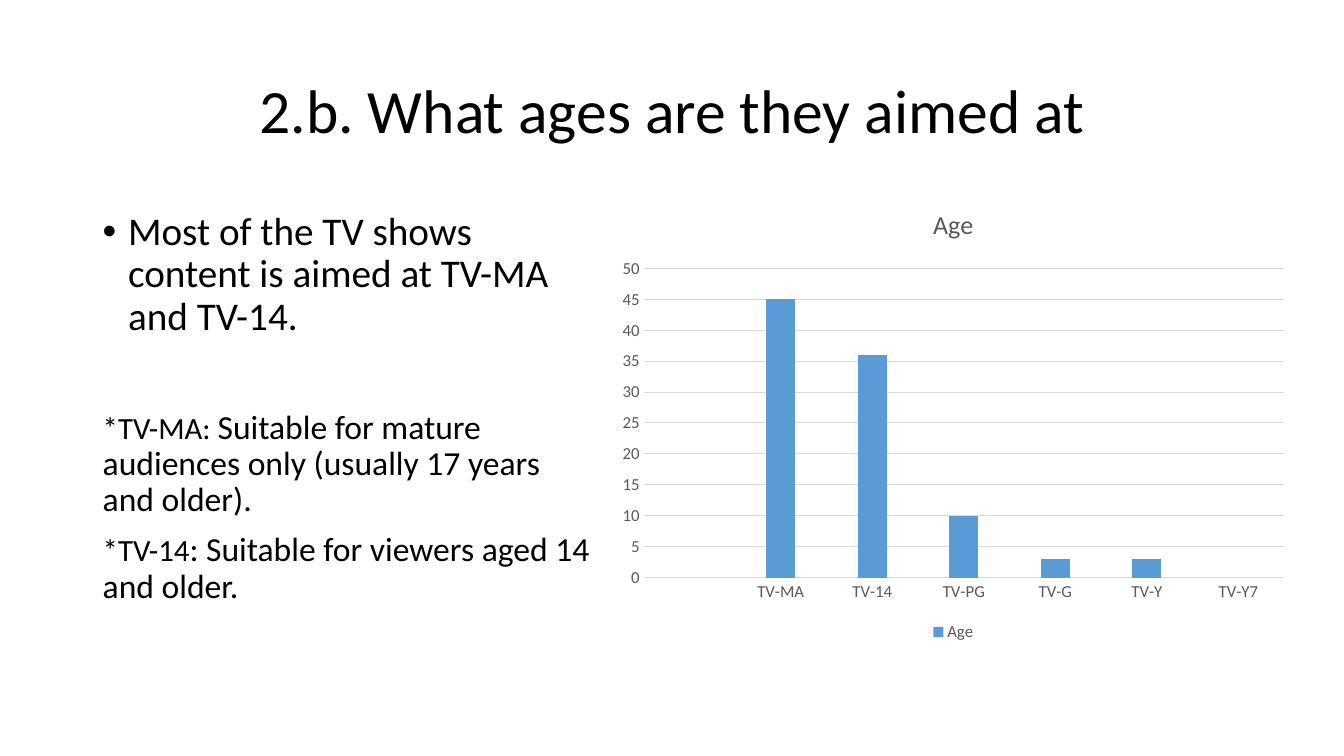
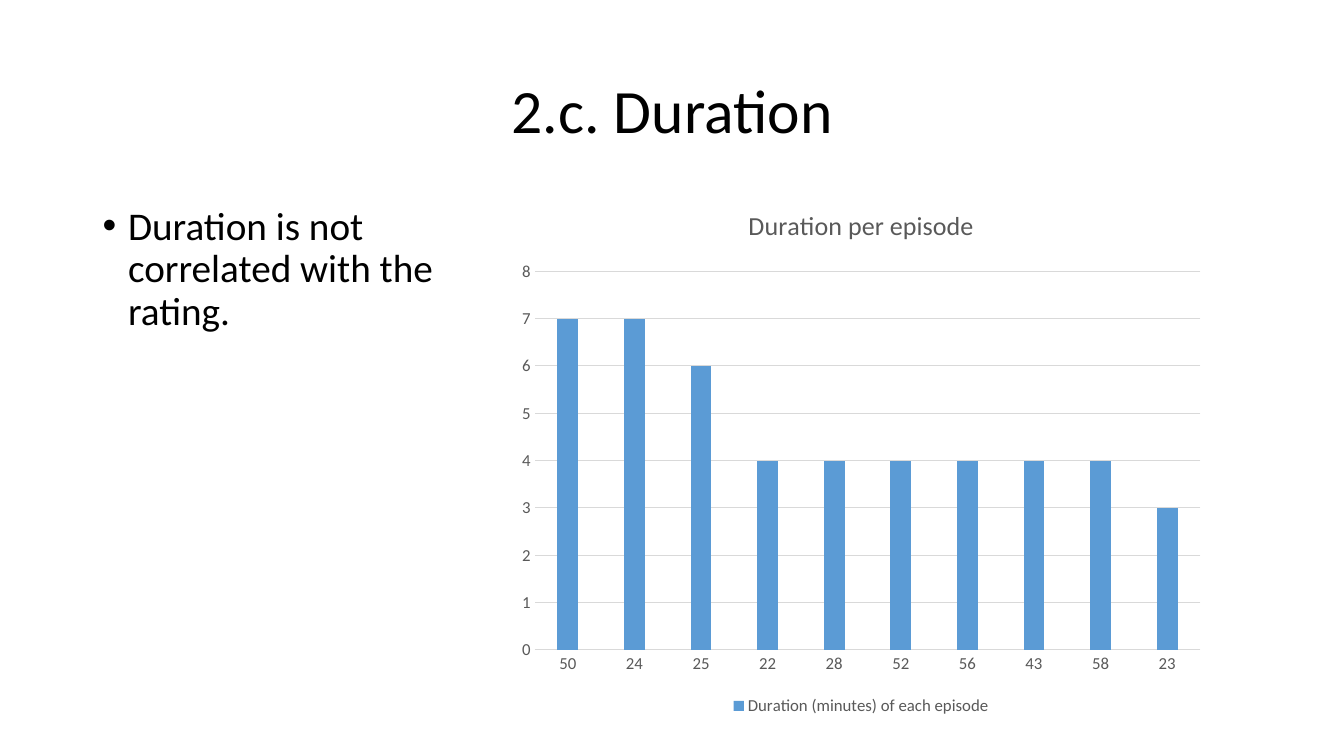
from dataclasses import dataclass

from lxml.etree import SubElement
from pptx import Presentation
from pptx.chart.data import CategoryChartData
from pptx.dml.color import RGBColor
from pptx.enum.chart import XL_CHART_TYPE, XL_LEGEND_POSITION, XL_TICK_MARK
from pptx.enum.text import MSO_ANCHOR, PP_ALIGN
from pptx.oxml.ns import qn
from pptx.util import Cm, Pt


@dataclass(frozen=True)
class Theme:
    font: str = "Calibri"
    ink: RGBColor = RGBColor(0x00, 0x00, 0x00)
    label: RGBColor = RGBColor(0x59, 0x59, 0x59)
    rule: RGBColor = RGBColor(0xD9, 0xD9, 0xD9)
    bar: RGBColor = RGBColor(0x5B, 0x9B, 0xD5)
    title: float = 44
    body: float = 28
    note: float = 24
    note_term: float = 22
    chart_title: float = 18.6
    chart_label: float = 12
    rule_width: float = 0.75
    paragraph_gap: float = 10
    section_gap: float = 51
    line_spacing: float = 0.9


class Deck:
    LEFT = 2.34
    CHART_TOP = 4.7
    BULLET_INDENT = Cm(0.64)

    def __init__(self, theme):
        self.theme = theme
        self.presentation = Presentation()
        self.presentation.slide_width = Cm(33.87)
        self.presentation.slide_height = Cm(19.05)
        self.slide = None

    def new_slide(self, heading):
        blank = self.presentation.slide_layouts[6]
        self.slide = self.presentation.slides.add_slide(blank)
        frame = self.text_frame(1.02, 29.21, 3.68)
        frame.vertical_anchor = MSO_ANCHOR.MIDDLE
        paragraph = frame.paragraphs[0]
        paragraph.alignment = PP_ALIGN.CENTER
        self.fill_paragraph(paragraph, [(heading, self.theme.title)], gap=0)

    def text_frame(self, top, width, height):
        box = self.slide.shapes.add_textbox(
            Cm(self.LEFT), Cm(top), Cm(width), Cm(height))
        box.text_frame.word_wrap = True
        return box.text_frame

    def style_font(self, font, size, color):
        font.name = self.theme.font
        font.size = Pt(size)
        font.bold = False
        font.color.rgb = color

    def fill_paragraph(self, paragraph, pieces, gap):
        paragraph.line_spacing = self.theme.line_spacing
        paragraph.space_before = Pt(gap)
        for text, size in pieces:
            run = paragraph.add_run()
            run.text = text
            self.style_font(run.font, size, self.theme.ink)

    def body(self, top, width, statement, notes=()):
        theme = self.theme
        frame = self.text_frame(top, width, 12.09)

        # Bulleted statement
        bullet = frame.paragraphs[0]
        self.fill_paragraph(bullet, [(statement, theme.body)], theme.paragraph_gap)
        properties = bullet._p.get_or_add_pPr()
        properties.set("marL", str(self.BULLET_INDENT))
        properties.set("indent", str(-self.BULLET_INDENT))
        SubElement(properties, qn("a:buFont"), typeface="Arial")
        SubElement(properties, qn("a:buChar"), char="•")

        # Explanatory notes, set apart from the statement
        gap = theme.section_gap
        for term, meaning in notes:
            pieces = [(term, theme.note_term), (meaning, theme.note)]
            self.fill_paragraph(frame.add_paragraph(), pieces, gap)
            gap = theme.paragraph_gap

    def column_chart(self, left, width, height, title, series_name, values,
                     maximum, step):
        theme = self.theme
        data = CategoryChartData()
        data.categories = [category for category, _ in values]
        data.add_series(series_name, [value for _, value in values])
        chart = self.slide.shapes.add_chart(
            XL_CHART_TYPE.COLUMN_CLUSTERED, Cm(left), Cm(self.CHART_TOP),
            Cm(width), Cm(height), data).chart
        self.style_font(chart.font, theme.chart_label, theme.label)

        # Title and legend
        heading = chart.chart_title.text_frame
        heading.text = title
        self.style_font(heading.paragraphs[0].runs[0].font,
                        theme.chart_title, theme.label)
        chart.chart_title.include_text_in_layout = False
        chart.has_legend = True
        chart.legend.position = XL_LEGEND_POSITION.BOTTOM
        chart.legend.include_in_layout = False

        # Columns
        plot = chart.plots[0]
        plot.vary_by_categories = False
        plot.gap_width = 219
        plot.overlap = -27
        fill = plot.series[0].format.fill
        fill.solid()
        fill.fore_color.rgb = theme.bar

        # Axes
        value_axis = chart.value_axis
        value_axis.minimum_scale = 0
        value_axis.maximum_scale = maximum
        value_axis.major_unit = step
        value_axis.format.line.fill.background()
        for axis in (chart.category_axis, value_axis):
            axis.major_tick_mark = XL_TICK_MARK.NONE
            axis.minor_tick_mark = XL_TICK_MARK.NONE
        for line in (chart.category_axis.format.line,
                     value_axis.major_gridlines.format.line):
            line.color.rgb = theme.rule
            line.width = Pt(theme.rule_width)


def main():
    deck = Deck(Theme())

    # Audience ages
    deck.new_slide("2.b. What ages are they aimed at")
    deck.body(
        5.21, 13,
        "Most of the TV shows content is aimed at TV-MA and TV-14.",
        [("*TV-MA: ",
          "Suitable for mature audiences only (usually 17 years and older)."),
         ("*TV-14", ": Suitable for viewers aged 14 and older.")])
    shows_by_age = [("", None), ("TV-MA", 45), ("TV-14", 36), ("TV-PG", 10),
                    ("TV-G", 3), ("TV-Y", 3), ("TV-Y7", None)]
    deck.column_chart(15.34, 17.37, 11.58, "Age", "Age", shows_by_age,
                      maximum=50, step=5)

    # Episode duration
    deck.new_slide("2.c. Duration")
    deck.body(5.08, 10.03, "Duration is not correlated with the rating.")
    shows_by_minutes = [("50", 7), ("24", 7), ("25", 6), ("22", 4), ("28", 4),
                        ("52", 4), ("56", 4), ("43", 4), ("58", 4), ("23", 3)]
    deck.column_chart(12.8, 17.81, 13.44, "Duration per episode",
                      "Duration (minutes) of each episode", shows_by_minutes,
                      maximum=8, step=1)

    deck.presentation.save("out.pptx")


if __name__ == "__main__":
    main()
